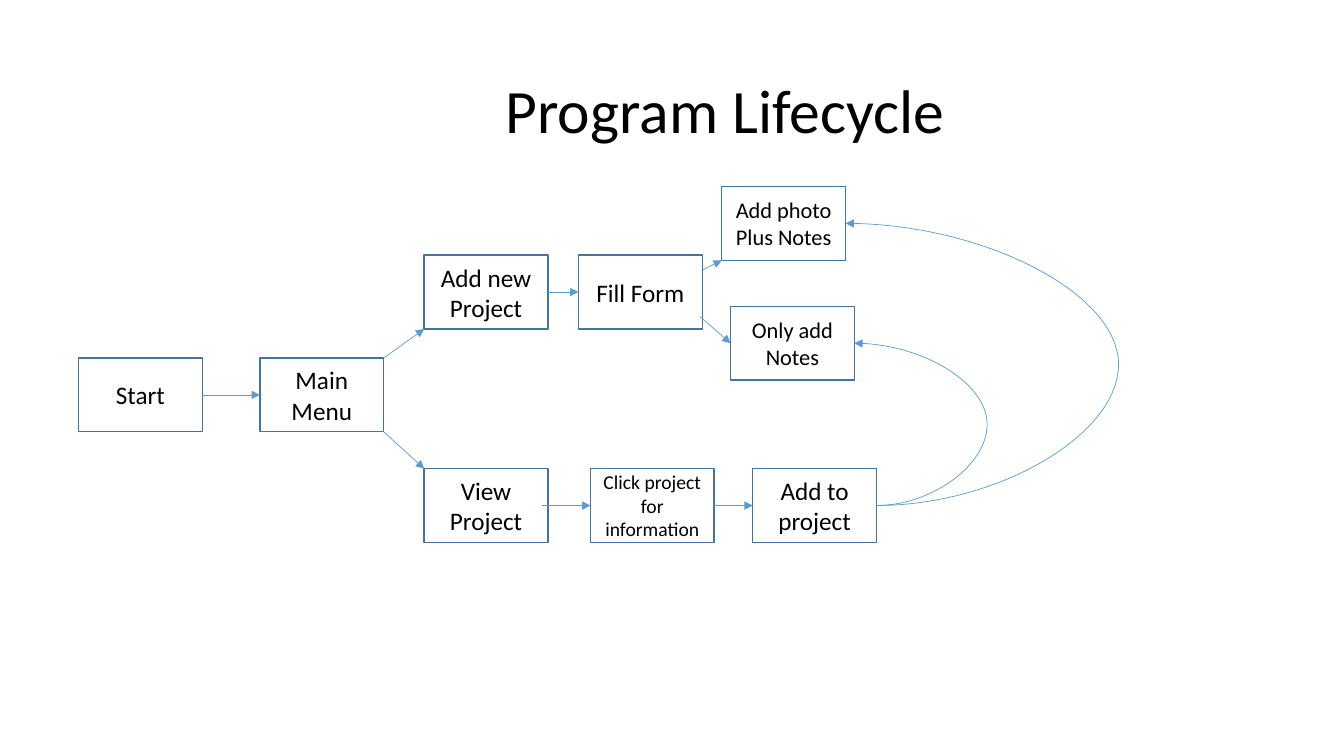
from lxml.etree import SubElement
from pptx import Presentation
from pptx.dml.color import RGBColor
from pptx.enum.shapes import MSO_CONNECTOR as Link, MSO_SHAPE as Preset
from pptx.enum.text import MSO_ANCHOR as Anchor, MSO_AUTO_SIZE as Fit, PP_ALIGN as Align
from pptx.oxml.ns import qn
from pptx.util import Cm, Pt

COLORS = {"text": "000000", "fill": "FFFFFF", "border": "43739E", "arrow": "5B9BD5"}
FONT = "Calibri"
STEP_WIDTH, STEP_HEIGHT = 3.12, 1.86

# name: left and top inside the diagram (cm), wording, text size
STEPS = {
    "start": (0, 4.32, "Start", 18),
    "menu": (4.57, 4.32, "Main Menu", 18),
    "view": (8.71, 7.11, "View Project", 18),
    "new": (8.71, 1.73, "Add new Project", 18),
    "click": (12.9, 7.11, "Click project for information", 14),
    "add": (16.99, 7.11, "Add to project", 18),
    "form": (12.6, 1.73, "Fill Form", 18),
    "photo": (16.21, 0, "Add photo Plus Notes", 16),
    "notes": (16.43, 3.02, "Only add Notes", 16),
}

# Points on a step, as fractions of its width and height
LEFT, RIGHT = (0, 0.5), (1, 0.5)
SITES = {LEFT: 1, RIGHT: 3}

# from step, point, to step, point, reach of the curve (cm, 0 for straight)
ARROWS = [
    ("start", RIGHT, "menu", LEFT, 0),
    ("menu", (1, 1), "view", (0, 0), 0),
    ("menu", (1, 0), "new", (0, 1), 0),
    ("view", (0.95, 0.5), "click", LEFT, 0),
    ("click", RIGHT, "add", LEFT, 0),
    ("new", RIGHT, "form", LEFT, 0),
    ("form", (1, 0.2), "photo", (0, 1), 0),
    ("form", (0.98, 0.83), "notes", LEFT, 0),
    ("add", RIGHT, "photo", RIGHT, 6.1),
    ("add", RIGHT, "notes", RIGHT, 2.79),
]


def color(name):
    return RGBColor.from_string(COLORS[name])


def write(shape, text, size, align=Align.CENTER, spacing=None, indent=0):
    frame = shape.text_frame
    frame.word_wrap = True
    frame.auto_size = Fit.NONE
    frame.vertical_anchor = Anchor.MIDDLE
    para = frame.paragraphs[0]
    para.alignment = align
    para.line_spacing = spacing
    if indent:
        para._p.get_or_add_pPr().set("marL", str(Cm(indent)))
    span = para.add_run()
    span.text = text
    span.font.name = FONT
    span.font.size = Pt(size)
    span.font.color.rgb = color("text")


def add_title(page, left, top, width, height):
    title = page.shapes.title
    title.left, title.top = Cm(left), Cm(top)
    title.width, title.height = Cm(width), Cm(height)
    write(title, "Program Lifecycle", 44, align=Align.LEFT, spacing=0.9, indent=10.16)


def add_step(page, left, top, text, size):
    box = page.shapes.add_shape(
        Preset.RECTANGLE, Cm(left), Cm(top), Cm(STEP_WIDTH), Cm(STEP_HEIGHT))
    box.shadow.inherit = False
    box.fill.solid()
    box.fill.fore_color.rgb = color("fill")
    box.line.color.rgb = color("border")
    box.line.width = Pt(1)
    write(box, text, size)
    return box


def point_on(box, point):
    across, down = point
    return round(box.left + across * box.width), round(box.top + down * box.height)


def add_arrow(page, source, source_point, target, target_point, reach):
    arrow = page.shapes.add_connector(
        Link.CURVE if reach else Link.STRAIGHT,
        *point_on(source, source_point), *point_on(target, target_point))
    if source_point in SITES:
        arrow.begin_connect(source, SITES[source_point])
    if target_point in SITES:
        arrow.end_connect(target, SITES[target_point])
    arrow.line.color.rgb = color("arrow")
    arrow.line.width = Pt(0.5)
    SubElement(arrow.line._get_or_add_ln(), qn("a:tailEnd"), type="triangle")
    properties = arrow._element.spPr
    SubElement(properties, qn("a:effectLst"))
    if reach:
        # The curve swings out to the right of both of its ends
        bend = round(-100000 * Cm(reach) / arrow.width)
        guides = properties.find(qn("a:prstGeom")).get_or_add_avLst()
        SubElement(guides, qn("a:gd"), name="adj1", fmla=f"val {bend}")


def add_diagram(page, left, top):
    boxes = {name: add_step(page, left + x, top + y, text, size)
             for name, (x, y, text, size) in STEPS.items()}
    for source, source_point, target, target_point, reach in ARROWS:
        add_arrow(page, boxes[source], source_point, boxes[target], target_point, reach)


def main():
    deck = Presentation()
    deck.slide_width, deck.slide_height = Cm(33.87), Cm(19.05)
    page = deck.slides.add_slide(deck.slide_layouts[5])
    add_title(page, 2.33, 1.01, 29.21, 3.68)
    add_diagram(page, 1.98, 4.7)
    deck.save("out.pptx")


if __name__ == "__main__":
    main()
